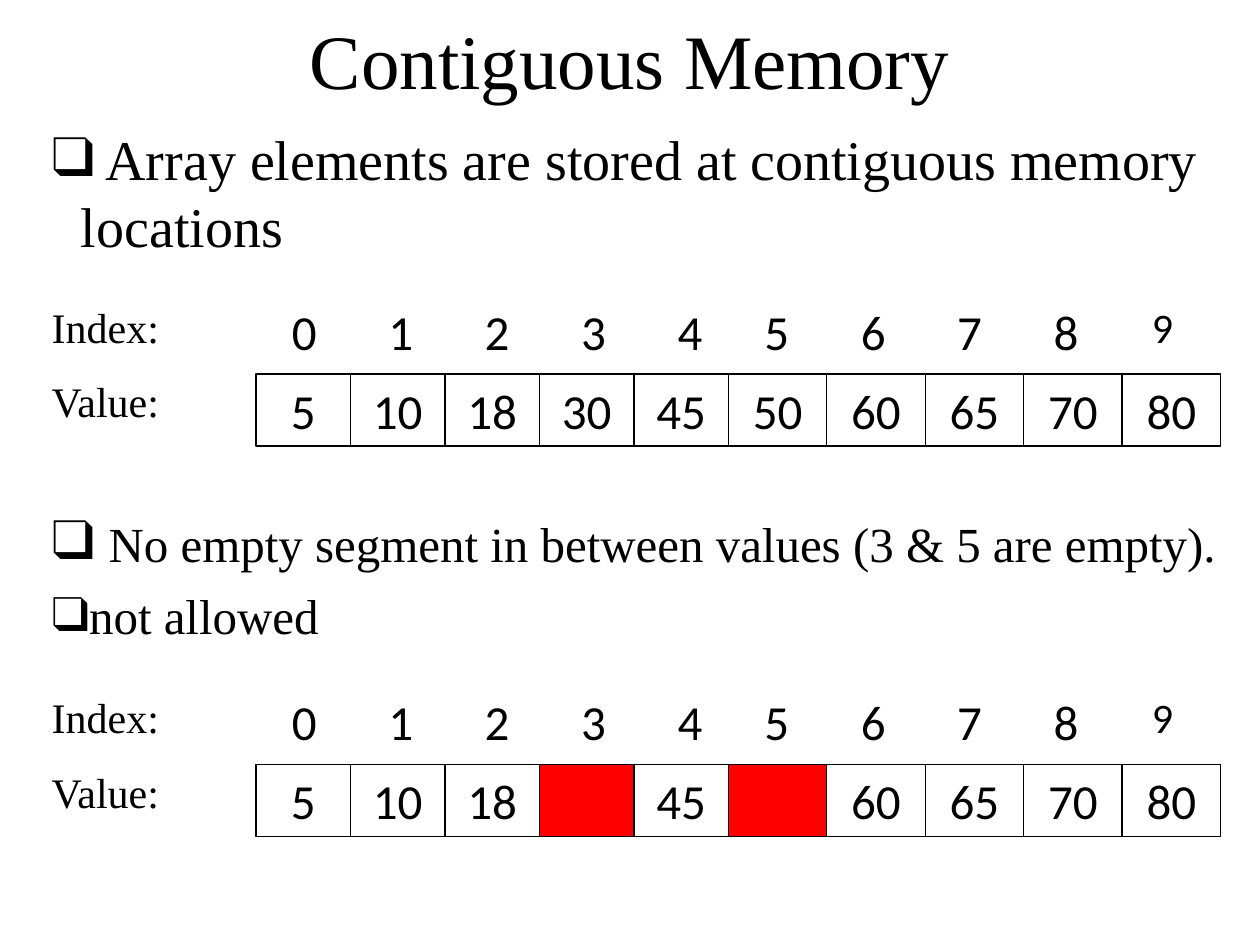
from pptx import Presentation
from pptx.dml.color import RGBColor
from pptx.enum.shapes import MSO_SHAPE
from pptx.enum.text import MSO_ANCHOR, MSO_AUTO_SIZE, PP_ALIGN
from pptx.oxml.ns import qn
from pptx.util import Pt
from lxml.etree import SubElement

TITLE = "Contiguous Memory"
# Each bullet: space before, then its runs as (text, size)
BULLETS = [
    (8, [(" Array elements are stored at contiguous memory locations", 32)]),
    (141.5, [(" ", 32),
             ("No empty segment in between values (3 & 5 are empty).", 28)]),
    (7, [("not allowed", 28)]),
]
# Each array: top of its index row, then its values (None is an empty segment)
ARRAYS = [
    (168.75, [5, 10, 18, 30, 45, 50, 60, 65, 70, 80]),
    (391.75, [5, 10, 18, None, 45, None, 60, 65, 70, 80]),
]

COLORS = {"text": "000000", "line": "000000", "empty": "FF0000"}
SERIF, SANS = "Times New Roman", "Calibri"
LABEL_X, LABEL_W, LABEL_H = 22.5, 101.25, 36
HALF = 5                     # cells in each half of an array
HALF_X = (146.25, 416.25)    # left edge of each half
CELL_W = (54, 56.25)         # cell width in each half
INDEX_W, ROW_H = 55.12, 41.2
VALUE_DY, VALUE_LABEL_DY = 45, 42.5


def rgb(name):
    return RGBColor.from_string(COLORS[name])


def place(sp, x, y, w, h):
    sp.left, sp.top, sp.width, sp.height = Pt(x), Pt(y), Pt(w), Pt(h)


def add_text(p, text, size=28, font=SANS, align=None):
    if align is not None:
        p.alignment = align
    r = p.add_run()
    r.text = text
    r.font.size = Pt(size)
    r.font.name = font
    r.font.color.rgb = rgb("text")


def set_bullet(p, char="❑", indent=16.5):
    pPr = p._p.get_or_add_pPr()
    pPr.set("marL", str(Pt(indent)))
    pPr.set("indent", str(-Pt(indent)))
    clr = SubElement(pPr, qn("a:buClr"))
    SubElement(clr, qn("a:srgbClr"), val=COLORS["text"])
    SubElement(pPr, qn("a:buFont"), typeface=SERIF)
    SubElement(pPr, qn("a:buChar"), char=char)


def add_box(shapes, text, x, y, w, h, **fmt):
    sp = shapes.add_textbox(Pt(x), Pt(y), Pt(w), Pt(h))
    sp.text_frame.word_wrap = True
    add_text(sp.text_frame.paragraphs[0], text, **fmt)


def add_cell(shapes, value, x, y, w):
    sp = shapes.add_shape(MSO_SHAPE.RECTANGLE, Pt(x), Pt(y), Pt(w), Pt(ROW_H))
    sp.shadow.inherit = False
    sp.line.color.rgb = rgb("line")
    sp.line.width = Pt(0.75)
    if value is None:
        sp.fill.solid()
        sp.fill.fore_color.rgb = rgb("empty")
        return
    sp.fill.background()
    tf = sp.text_frame
    tf.vertical_anchor = MSO_ANCHOR.TOP
    add_text(tf.paragraphs[0], str(value), align=PP_ALIGN.CENTER)


def add_array(shapes, top, values):
    """Draw the two row labels, the value cells and the indexes above them."""
    for label, dy in (("Index:", 0), ("Value:", VALUE_LABEL_DY)):
        add_box(shapes, label, LABEL_X, top + dy, LABEL_W, LABEL_H,
                size=24, font=SERIF)
    cells = shapes.add_group_shape().shapes
    indexes = shapes.add_group_shape().shapes
    for i, value in enumerate(values):
        half, col = divmod(i, HALF)
        x, w = HALF_X[half], CELL_W[half]
        add_cell(cells, value, x + col * w, top + VALUE_DY, w)
        last = i == len(values) - 1
        add_box(indexes, str(i), x + col * INDEX_W, top, INDEX_W,
                LABEL_H if last else ROW_H,
                size=24 if last else 28, align=PP_ALIGN.CENTER)


def main():
    prs = Presentation()
    prs.slide_width, prs.slide_height = Pt(720), Pt(540)
    s = prs.slides.add_slide(prs.slide_layouts[1])

    title, body = s.placeholders
    place(title, 54, 11.5, 612, 44.5)
    title.text_frame.auto_size = MSO_AUTO_SIZE.NONE
    title.text_frame.vertical_anchor = MSO_ANCHOR.MIDDLE
    add_text(title.text_frame.paragraphs[0], TITLE, size=44, font=SERIF,
             align=PP_ALIGN.CENTER)

    place(body, 22.5, 67.5, 686, 427.5)
    tf = body.text_frame
    tf.auto_size = MSO_AUTO_SIZE.NONE
    for i, (before, runs) in enumerate(BULLETS):
        p = tf.add_paragraph() if i else tf.paragraphs[0]
        p.space_before = Pt(before)
        set_bullet(p)
        for text, size in runs:
            add_text(p, text, size=size, font=SERIF)

    for top, values in ARRAYS:
        add_array(s.shapes, top, values)
    prs.save("out.pptx")


if __name__ == "__main__":
    main()
